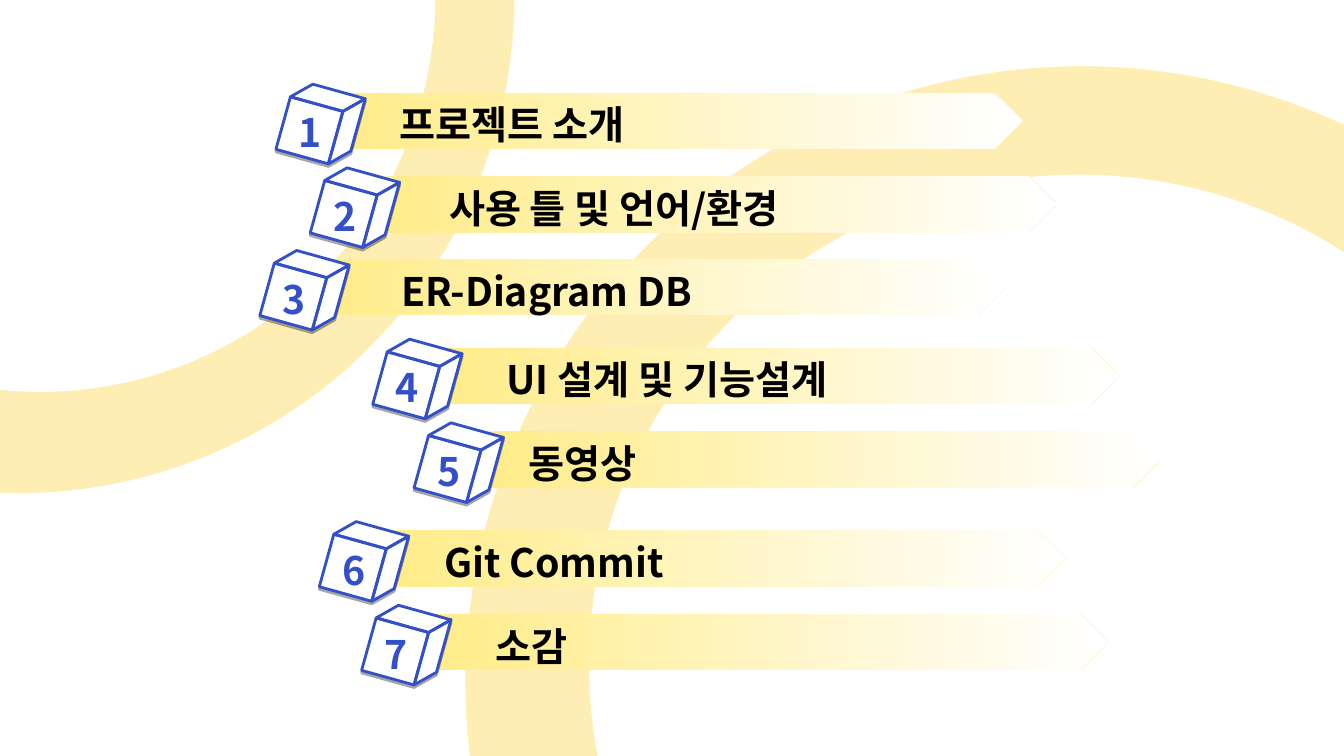
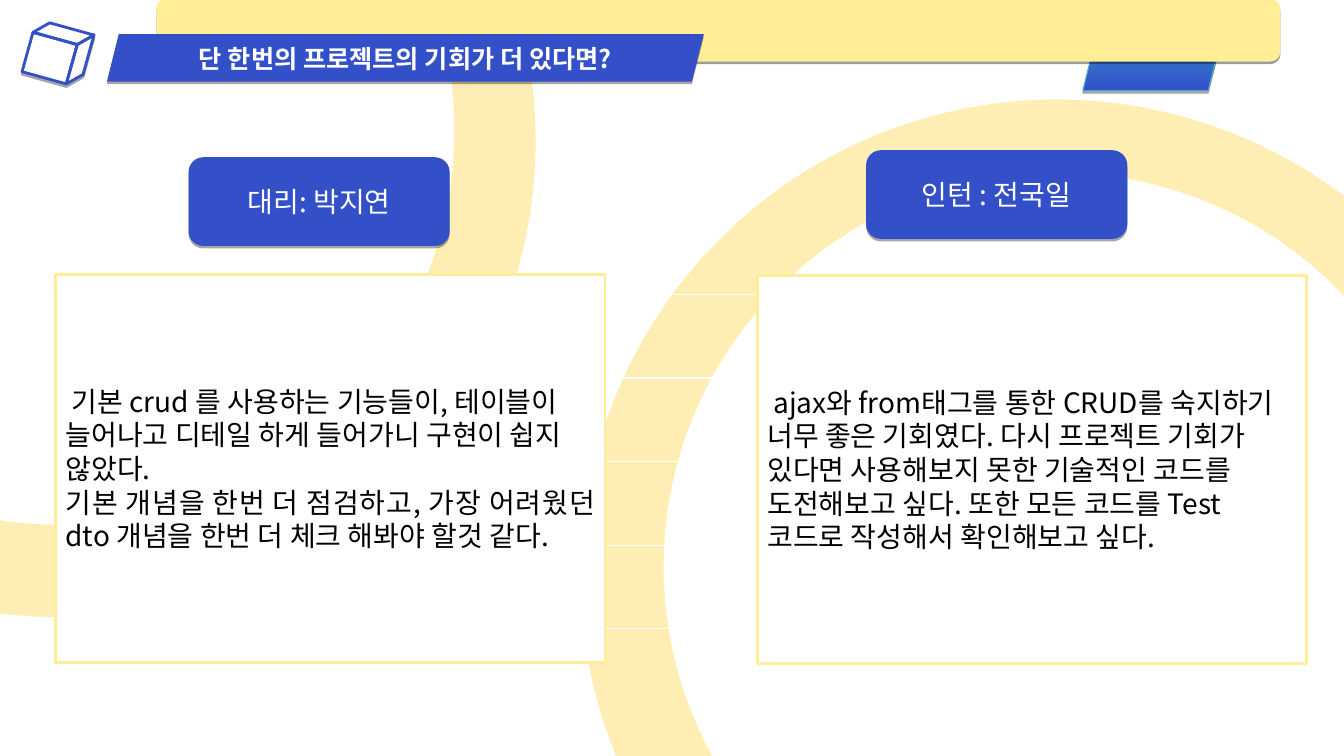
"""Build the agenda slide and the closing reflections slide."""
from dataclasses import dataclass

from lxml import etree
from pptx import Presentation
from pptx.dml.color import RGBColor
from pptx.enum.shapes import MSO_CONNECTOR as Connector, MSO_SHAPE as Preset
from pptx.enum.text import MSO_ANCHOR as Anchor, MSO_AUTO_SIZE as AutoSize, PP_ALIGN as Align
from pptx.oxml.ns import qn
from pptx.util import Inches, Pt

FONT = "Noto Sans CJK KR"
BLUE, YELLOW, RING_YELLOW, BAR_YELLOW = "3350C8", "FFEE96", "FFEEB4", "FFEC8A"
TEAL, TEAL_EDGE, WHITE, BLACK = "36B1D2", "46AAC5", "FFFFFF", "000000"
CUBE_DEPTH, CUBE_TILT = 0.18, 15.5


@dataclass(frozen=True)
class Box:
    """A rectangle in inches."""
    left: float
    top: float
    width: float
    height: float

    def lengths(self) -> list:
        """Return the four measures as lengths."""
        return [Inches(v) for v in (self.left, self.top, self.width, self.height)]


@dataclass(frozen=True)
class TextStyle:
    """How a piece of text looks."""
    size: float
    color: str
    bold: bool = False
    outlined: bool = False


@dataclass(frozen=True)
class Ring:
    """A yellow disc with a white disc on it, each as left, top, size."""
    outer: tuple
    inner: tuple


@dataclass(frozen=True)
class AgendaItem:
    """One agenda bar with its label."""
    label: str
    left: float
    top: float
    label_shift: float
    label_width: float
    align: Align = Align.CENTER


@dataclass(frozen=True)
class Reflection:
    """One person's name plate and remarks."""
    person: str
    plate: Box
    panel: Box
    remarks: tuple


AGENDA_RINGS = (
    Ring((4.61, 0.65, 12.24), (5.85, 1.74, 9.71)),
    Ring((-4.75, -4.96, 9.86), (-3.51, -3.94, 7.82)),
)
REFLECTION_RINGS = (
    Ring((-4.14, -3.33, 9.46), (-3.3, -2.6, 7.8)),
    Ring((5.75, 0.98, 9.46), (6.59, 1.72, 7.8)),
)
AGENDA = (
    AgendaItem("프로젝트 소개", 3.42, 0.92, -0.14, 3.59),
    AgendaItem("사용 틀 및 언어/환경", 3.76, 1.75, -0.14, 4.94),
    AgendaItem("ER-Diagram DB", 3.26, 2.57, 0.2, 3.92),
    AgendaItem("UI 설계 및 기능설계", 4.38, 3.45, 0.37, 3.73),
    AgendaItem("동영상", 4.79, 4.28, 0.35, 2.49, Align.LEFT),
    AgendaItem("Git Commit", 3.85, 5.26, -0.15, 3.59),
    AgendaItem("소감", 4.27, 6.09, -0.15, 2.31),
)
REFLECTIONS = (
    Reflection("대리: 박지연", Box(1.87, 1.56, 2.59, 0.88), Box(0.55, 2.72, 5.45, 3.85), (
        ("기본 crud 를 사용하는 기능들이, 테이블이 늘어나고 디테일 하게 들어가니 "
         "구현이 쉽지 않았다.", Align.LEFT),
        ("기본 개념을 한번 더 점검하고, 가장 어려웠던 dto 개념을 한번 더 체크 해봐야 "
         "할것 같다.", Align.JUSTIFY))),
    Reflection("인턴 : 전국일", Box(8.59, 1.49, 2.59, 0.88), Box(7.51, 2.73, 5.45, 3.85), (
        ("ajax와 from태그를 통한 CRUD를 숙지하기 너무 좋은 기회였다. 다시 프로젝트 "
         "기회가 있다면 사용해보지 못한 기술적인 코드를 도전해보고 싶다. 또한 모든 "
         "코드를 Test 코드로 작성해서 확인해보고 싶다.", Align.LEFT),)),
)


def rgb(color: str) -> RGBColor:
    """Turn a hex string into a colour."""
    return RGBColor.from_string(color)


def paint(shape, fill: str, line: str = "", width: float = 1, shadow: int = 0) -> None:
    """Set fill, line and a hard drop shadow of the given opacity."""
    shape.fill.solid()
    shape.fill.fore_color.rgb = rgb(fill)
    if line:
        shape.line.color.rgb = rgb(line)
        shape.line.width = Pt(width)
    else:
        shape.line.fill.background()
    cast_shadow(shape, shadow)


def cast_shadow(shape, opacity: int) -> None:
    """Replace the inherited shadow by a hard one, or by none."""
    shape.shadow.inherit = False
    if opacity:
        effects = shape.element.spPr.find(qn("a:effectLst"))
        drop = etree.SubElement(effects, qn("a:outerShdw"), blurRad="0", dist="22860",
                                dir="5400000", rotWithShape="0")
        color = etree.SubElement(drop, qn("a:srgbClr"), val=BLACK)
        etree.SubElement(color, qn("a:alpha"), val=str(opacity * 1000))


def blend(shape, start: str, end: str, angle: float) -> None:
    """Fill a shape with a two-colour gradient."""
    shape.fill.gradient()
    shape.fill.gradient_angle = angle
    for stop, color, position in zip(shape.fill.gradient_stops, (start, end), (0, 1)):
        stop.color.rgb = rgb(color)
        stop.position = position


def add_run(paragraph, text: str, style: TextStyle) -> None:
    """Add one formatted run."""
    run = paragraph.add_run()
    run.text = text
    font = run.font
    font.size, font.bold, font.name = Pt(style.size), style.bold, FONT
    font.color.rgb = rgb(style.color)
    properties = run._r.get_or_add_rPr()
    etree.SubElement(properties, qn("a:ea"), typeface=FONT)
    if style.outlined:
        outline = etree.Element(qn("a:ln"), w=str(Pt(0.75)))
        solid = etree.SubElement(outline, qn("a:solidFill"))
        etree.SubElement(solid, qn("a:srgbClr"), val=WHITE)
        properties.insert(0, outline)


def write(shape, text: str, style: TextStyle, align: Align = Align.CENTER,
          anchor: Anchor = Anchor.MIDDLE, wrap: bool = True) -> None:
    """Write a single paragraph into a shape."""
    frame = shape.text_frame
    frame.word_wrap, frame.vertical_anchor = wrap, anchor
    frame.auto_size = AutoSize.NONE
    frame.paragraphs[0].alignment = align
    add_run(frame.paragraphs[0], text, style)


def place(placeholder, box: Box) -> None:
    """Move a placeholder in front of what is drawn so far."""
    placeholder.left, placeholder.top, placeholder.width, placeholder.height = box.lengths()
    placeholder.element.getparent().append(placeholder.element)


def add_rings(slide, rings: tuple) -> None:
    """Draw the background rings."""
    for ring in rings:
        for (left, top, size), color in ((ring.outer, RING_YELLOW), (ring.inner, WHITE)):
            disc = slide.shapes.add_shape(Preset.OVAL, *Box(left, top, size, size).lengths())
            paint(disc, color, WHITE)


def add_cube(slide, box: Box) -> None:
    """Draw a tilted white cube from its front, side and top faces."""
    right, bottom, depth = box.width, box.height, CUBE_DEPTH * box.height / 0.72
    inner = right - depth
    faces = (
        ((0, depth), (inner, depth), (inner, bottom), (0, bottom)),
        ((inner, depth), (right, 0), (right, bottom - depth), (inner, bottom)),
        ((0, depth), (depth, 0), (right, 0), (inner, depth)),
    )
    outlines = [[(Inches(x), Inches(y)) for x, y in face] for face in faces]
    builder = slide.shapes.build_freeform(*outlines[0][0], scale=1.0)
    for number, (start, *others) in enumerate(outlines):
        if number:
            builder.move_to(*start)
        builder.add_line_segments(others, close=True)
    cube = builder.convert_to_shape(Inches(box.left), Inches(box.top))
    paint(cube, WHITE, BLUE, 2, shadow=35)
    cube.rotation = CUBE_TILT


def add_agenda_item(slide, number: int, item: AgendaItem) -> None:
    """Draw a fading bar with its numbered cube and label."""
    bar = slide.shapes.add_shape(
        Preset.PENTAGON, *Box(item.left, item.top, 6.72, 0.56).lengths())
    paint(bar, WHITE)
    blend(bar, BAR_YELLOW, WHITE, 0)
    add_cube(slide, Box(item.left - 0.6, item.top - 0.05, 0.72, 0.72))
    label_box = Box(item.left + item.label_shift, item.top + 0.03, item.label_width, 0.57)
    number_box = Box(item.left - 0.82, item.top + 0.11, 0.96, 0.57)
    for box, text, color, align in ((label_box, item.label, BLACK, item.align),
                                    (number_box, str(number), BLUE, Align.CENTER)):
        caption = slide.shapes.add_textbox(*box.lengths())
        write(caption, text, TextStyle(28, color, True, True), align, Anchor.TOP)


def add_grid_lines(slide) -> None:
    """Draw the thin white lines behind the panels."""
    rows = [2.92 + 0.83 * row for row in range(5)]
    ends = [(2.28, y, 11.06, y) for y in rows] + [(2.28, 2.15, 2.28, 6.25)]
    for end in ends:
        rule = slide.shapes.add_connector(Connector.STRAIGHT, *[Inches(v) for v in end])
        rule.line.color.rgb = rgb(WHITE)
        rule.line.width = Pt(0.75)
        etree.SubElement(rule.element.spPr, qn("a:effectLst"))


def add_header(slide, title: str) -> None:
    """Draw the top band, the cube and the title ribbon."""
    tab = slide.shapes.add_shape(
        Preset.PARALLELOGRAM, *Box(10.74, 0.03, 1.46, 0.87).lengths())
    paint(tab, BLUE, TEAL_EDGE, 0.75, shadow=35)
    blend(tab, BLUE, TEAL, 90)
    band = slide.shapes.add_shape(
        Preset.ROUNDED_RECTANGLE, *Box(1.55, -0.01, 11.15, 0.62).lengths())
    paint(band, YELLOW, shadow=38)
    add_cube(slide, Box(0.28, 0.26, 0.59, 0.54))
    ribbon_box = Box(1.06, 0.34, 5.92, 0.47)
    ribbon = slide.shapes.add_shape(Preset.PARALLELOGRAM, *ribbon_box.lengths())
    paint(ribbon, BLUE, shadow=35)
    place(slide.shapes.title, ribbon_box)
    write(slide.shapes.title, title, TextStyle(18, WHITE, True))


def add_reflection(slide, panel, reflection: Reflection) -> None:
    """Draw a name plate and fill the panel with the remarks."""
    plate = slide.shapes.add_shape(Preset.ROUNDED_RECTANGLE, *reflection.plate.lengths())
    paint(plate, BLUE, shadow=35)
    write(plate, reflection.person, TextStyle(20, WHITE), wrap=False)
    place(panel, reflection.panel)
    panel.fill.solid()
    panel.fill.fore_color.rgb = rgb(WHITE)
    panel.line.color.rgb = rgb(YELLOW)
    panel.line.width = Pt(2)
    frame = panel.text_frame
    frame.word_wrap, frame.vertical_anchor = True, Anchor.MIDDLE
    frame.auto_size = AutoSize.NONE
    for number, (remark, align) in enumerate(reflection.remarks):
        paragraph = frame.add_paragraph() if number else frame.paragraphs[0]
        properties = paragraph._p.get_or_add_pPr()
        properties.set("marL", "0")
        properties.set("indent", "0" if number else str(Inches(0.06)))
        etree.SubElement(properties, qn("a:buNone"))
        paragraph.alignment = align
        paragraph.space_before = Pt(0)
        add_run(paragraph, remark, TextStyle(20, BLACK))


def main() -> None:
    """Build and save the presentation."""
    deck = Presentation()
    deck.slide_width, deck.slide_height = Inches(13.33), Inches(7.5)

    agenda = deck.slides.add_slide(deck.slide_layouts[6])
    add_rings(agenda, AGENDA_RINGS)
    for number, item in enumerate(AGENDA, 1):
        add_agenda_item(agenda, number, item)

    closing = deck.slides.add_slide(deck.slide_layouts[3])
    panels = [closing.placeholders[1], closing.placeholders[2]]
    add_rings(closing, REFLECTION_RINGS)
    add_grid_lines(closing)
    add_header(closing, "단 한번의 프로젝트의 기회가 더 있다면?")
    for panel, reflection in zip(panels, REFLECTIONS):
        add_reflection(closing, panel, reflection)
    deck.save("out.pptx")


if __name__ == "__main__":
    main()
